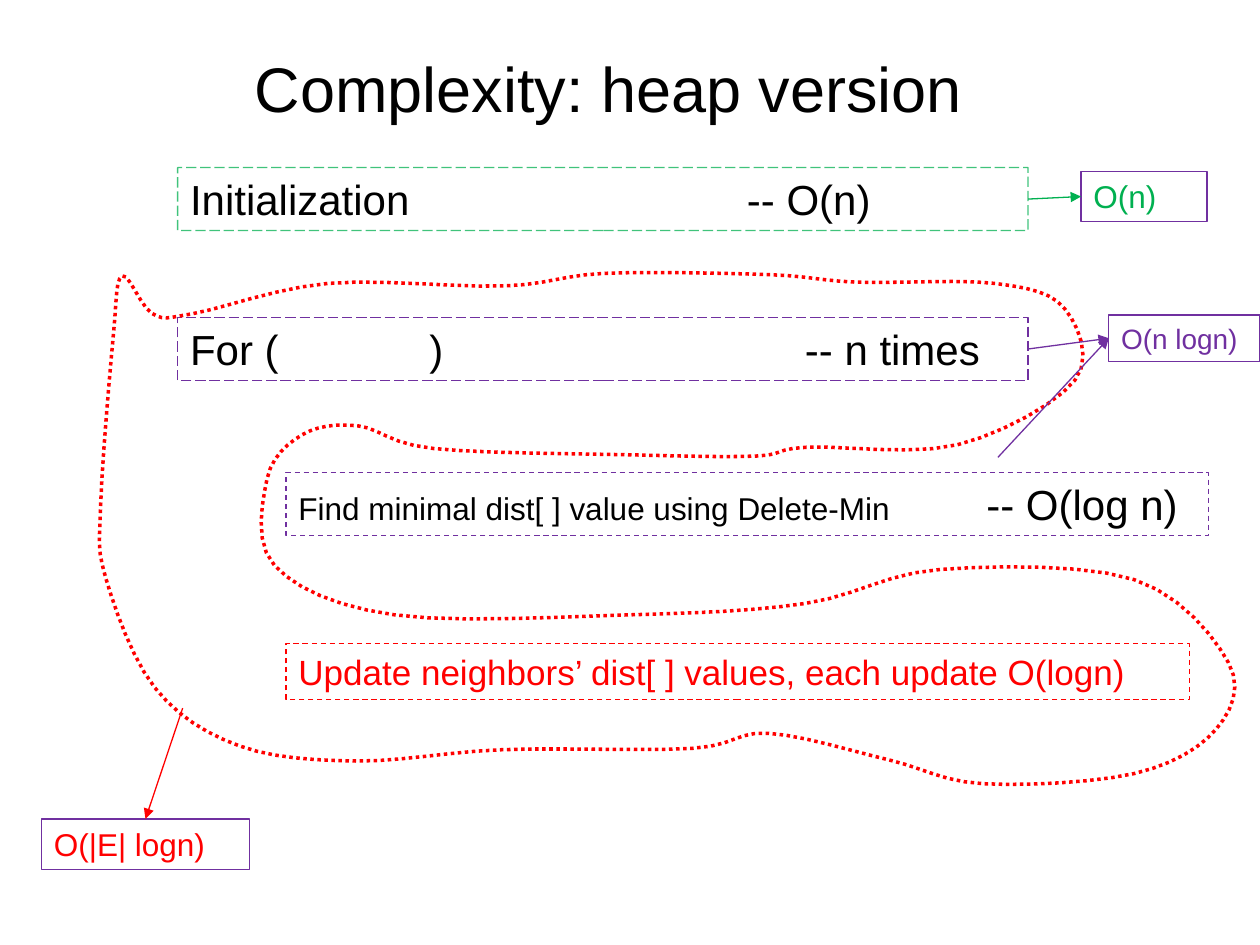
from dataclasses import dataclass

from lxml import etree
from pptx import Presentation
from pptx import util as u
from pptx.dml.color import RGBColor
from pptx.enum import dml, shapes, text
from pptx.oxml.ns import qn


@dataclass(frozen=True)
class Theme:
    font: str = "Arial"
    black: str = "000000"
    green: str = "00B050"
    purple: str = "7030A0"
    red: str = "FF0000"
    title: int = 36
    step: int = 24
    update: int = 20
    note: int = 18
    small: int = 16
    thin: float = 0.75
    thick: float = 2


T = Theme()
DASH = dml.MSO_LINE
TOP, LEFT, RIGHT = 0, 1, 3  # connection sites of a rectangle
COLS, ROWS = 100, 75


@dataclass(frozen=True)
class Box:
    """A region in EMU, able to give cells of the slide grid inside it."""
    x: int
    y: int
    w: int
    h: int
    cell: int

    def sub(self, col, row, cols, rows):
        c = self.cell
        return Box(int(self.x + col * c), int(self.y + row * c),
                   int(cols * c), int(rows * c), c)

    @property
    def rect(self):
        return self.x, self.y, self.w, self.h


def add_child(parent, tag, **attrs):
    return etree.SubElement(parent, qn(tag), attrs)


def style_run(r, size, color):
    for name, value in {"name": T.font, "size": u.Pt(size)}.items():
        setattr(r.font, name, value)
    r.font.color.rgb = RGBColor.from_string(color)


def style_line(line, color, width=T.thin, dash=None):
    line.color.rgb = RGBColor.from_string(color)
    for name, value in {"width": u.Pt(width), "dash_style": dash}.items():
        setattr(line, name, value)


def add_title(sl, box):
    sp = sl.shapes.title
    for name, value in zip(("left", "top", "width", "height"), box.rect):
        setattr(sp, name, value)
    tf = sp.text_frame
    tf.auto_size = text.MSO_AUTO_SIZE.NONE
    tf.vertical_anchor = text.MSO_ANCHOR.MIDDLE
    p = tf.paragraphs[0]
    p.alignment = text.PP_ALIGN.CENTER
    r = p.add_run()
    r.text = "Complexity: heap version"
    style_run(r, T.title, T.black)


def add_label(sl, box, runs, color, edge, dash=None, tabs=()):
    """Framed text; runs are (wording, size), tabs are in grid columns."""
    sp = sl.shapes.add_shape(shapes.MSO_SHAPE.RECTANGLE, *box.rect)
    sp.shadow.inherit = False
    sp.fill.background()
    style_line(sp.line, edge, dash=dash)
    tf = sp.text_frame
    frame = {"word_wrap": True, "vertical_anchor": text.MSO_ANCHOR.TOP,
             "auto_size": text.MSO_AUTO_SIZE.SHAPE_TO_FIT_TEXT}
    for name, value in frame.items():
        setattr(tf, name, value)
    p = tf.paragraphs[0]
    p.alignment = text.PP_ALIGN.LEFT
    if tabs:
        stops = add_child(p._p.get_or_add_pPr(), "a:tabLst")
        for col in tabs:
            add_child(stops, "a:tab", pos=str(int(col * box.cell)), algn="l")
    for wording, size in runs:
        r = p.add_run()
        r.text = wording
        style_run(r, size, color)
    return sp


def add_steps(sl, box):
    """The algorithm: two outer steps and two indented inner ones."""
    indent = 8.6
    init = add_label(sl, box.sub(0, 0, 67.5, 5),
                     [("Initialization\t-- O(n)", T.step)],
                     T.black, T.green, DASH.LONG_DASH, [44.2])
    edge = next(init.line._ln.iter(qn("a:srgbClr")))
    add_child(edge, "a:alpha", val="75000")
    loop = add_label(sl, box.sub(0, 11.9, 67.5, 5),
                     [("For (\t)\t-- n times", T.step)],
                     T.black, T.purple, DASH.LONG_DASH, [19, 48.8])
    add_label(sl, box.sub(indent, 24.2, 73.2, 5),
              [("Find minimal dist[ ] value using Delete-Min\t", T.note),
               ("-- O(log n)", T.step)],
              T.black, T.purple, DASH.DASH, [54.6])
    add_label(sl, box.sub(indent, 37.8, 71.7, 4.4),
              [("Update neighbors’ dist[ ] values, each update O(logn)",
                T.update)], T.red, T.red, DASH.DASH)
    return init, loop


# Turning points of the loop outline, in grid columns and rows
OUTLINE = [
    (12.1, 24.9), (15.3, 24.9), (26, 22.5), (40, 22.7), (48, 21.7),
    (61, 21.8), (68, 22.4), (79, 22.5), (84.5, 24.5), (85.3, 30.2),
    (76, 35.3), (64, 35.5), (60, 36.2), (50, 36.1), (34.4, 35.6),
    (28.4, 33.8), (24, 34.5), (21.2, 38), (21.8, 44.9), (31.3, 48.8),
    (50, 48.8), (63.9, 47.9), (74.6, 45.2), (90, 46), (97.5, 52.6),
    (96.5, 57.9), (90, 61.4), (78, 62.2), (70.5, 60.3), (61, 58.2),
    (54.9, 59.4), (39.9, 59.5), (28.3, 60.4), (19, 59.2), (12.3, 54.6),
    (8.4, 45.9), (8, 39.9), (9, 26.6), (9.7, 21.9),
]


def smooth(points, steps=6):
    """Closed Catmull-Rom curve through the points."""
    def blend(a, b, c, d, t):
        return (2 * b + (c - a) * t + (2 * a - 5 * b + 4 * c - d) * t ** 2
                + (3 * b - a - 3 * c + d) * t ** 3) / 2

    n = len(points)
    for i in range(n):
        near = [points[(i + k) % n] for k in (-1, 0, 1, 2)]
        for step in range(steps):
            yield tuple(blend(*axis, step / steps) for axis in zip(*near))


def add_outline(sl, box):
    """Dotted line around the loop and its neighbor updates."""
    curve = [(x * box.cell, y * box.cell) for x, y in smooth(OUTLINE)]
    fb = sl.shapes.build_freeform(*curve[0])
    fb.add_line_segments(curve[1:], close=True)
    sp = fb.convert_to_shape(box.x, box.y)
    sp.shadow.inherit = False
    sp.fill.background()
    style_line(sp.line, T.red, T.thick, DASH.ROUND_DOT)


def add_costs(sl, box):
    """Framed total cost of each part."""
    specs = [
        ((85.8, 13.6, 10, 4), "O(n)", T.note, T.green),
        ((3.3, 65, 16.5, 4), "O(|E| logn)", T.note, T.red),
        ((88, 25, 12, 3.7), "O(n logn)", T.small, T.purple),
    ]
    return [add_label(sl, box.sub(*cells), [(wording, size)], color, T.purple)
            for cells, wording, size, color in specs]


def add_arrows(sl, box, init, loop, costs):
    """Arrows to the costs, from a step or from a (column, row) point."""
    once, edges, total = costs
    specs = [
        (loop, total, LEFT, T.purple),
        ((79.2, 36.3), total, LEFT, T.purple),
        (init, once, LEFT, T.green),
        ((14.5, 56.2), edges, TOP, T.red),
    ]
    for start, target, site, color in specs:
        free = isinstance(start, tuple)
        at = box.sub(*start, 0, 0) if free else box
        cn = sl.shapes.add_connector(shapes.MSO_CONNECTOR.STRAIGHT,
                                     at.x, at.y, at.x, at.y)
        if not free:
            cn.begin_connect(start, RIGHT)
        cn.end_connect(target, site)
        style_line(cn.line, color)
        add_child(cn.line._get_or_add_ln(), "a:tailEnd", type="triangle")
        add_child(cn._element.spPr, "a:effectLst")


def main():
    prs = Presentation()
    prs.slide_width, prs.slide_height = u.Inches(10), u.Inches(7.5)
    sl = prs.slides.add_slide(prs.slide_layouts[5])
    cell = prs.slide_width // COLS
    page = Box(0, 0, COLS * cell, ROWS * cell, cell)
    add_title(sl, page.sub(0.8, 2.5, 95, 8.9))
    init, loop = add_steps(sl, page.sub(14.1, 13.3, 81.8, 42.2))
    add_outline(sl, page)
    costs = add_costs(sl, page)
    add_arrows(sl, page, init, loop, costs)
    prs.save("out.pptx")


if __name__ == "__main__":
    main()
